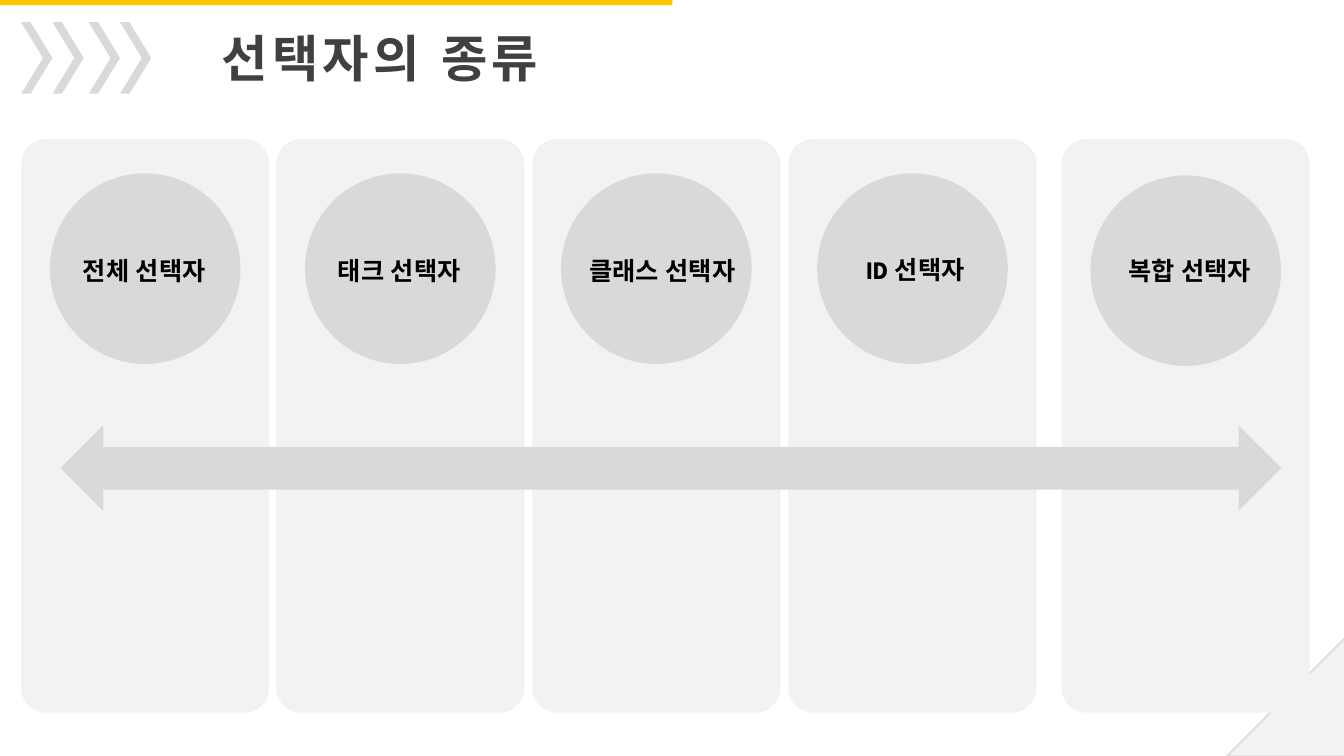
"""Build the slide that introduces the kinds of CSS selectors."""
from dataclasses import dataclass
from typing import Optional

from lxml.etree import SubElement
from pptx import Presentation
from pptx.dml.color import RGBColor
from pptx.enum.shapes import MSO_SHAPE
from pptx.enum.text import MSO_ANCHOR, MSO_AUTO_SIZE, PP_ALIGN
from pptx.oxml.ns import qn
from pptx.shapes.autoshape import Shape
from pptx.slide import Slide
from pptx.util import Inches, Pt

FONT = "League Spartan"
COLORS = {
    "accent": "FEC800",
    "panel": "F2F2F2",
    "gray": "D9D9D9",
    "title": "404040",
    "label": "000000",
}
CHEVRON_LEFTS = (0.21, 0.52, 0.88, 1.19)
PANEL_WIDTH = 2.46
CIRCLE_SIZE = 1.89


@dataclass
class Frame:
    """Place and size in inches."""
    left: float
    top: float
    width: float
    height: float


@dataclass
class Selector:
    """One column: its panel, circle and label."""
    name: str
    panel_left: float
    circle_top: float
    label: Frame


SELECTORS = (
    Selector("전체 선택자", 0.21, 1.72, Frame(0.61, 2.48, 1.64, 0.4)),
    Selector("태크 선택자", 2.74, 1.72, Frame(3.14, 2.48, 1.64, 0.4)),
    Selector("클래스 선택자", 5.28, 1.72, Frame(5.62, 2.48, 1.9, 0.4)),
    Selector("ID 선택자", 7.82, 1.72, Frame(8.13, 2.47, 1.9, 0.4)),
    Selector("복합 선택자", 10.53, 1.74, Frame(10.85, 2.48, 1.9, 0.4)),
)


def add_figure(page: Slide, kind: MSO_SHAPE, frame: Frame, color: str,
               adjustment: Optional[float] = None) -> Shape:
    """Draw a filled preset shape without outline or shadow."""
    shape = page.shapes.add_shape(
        kind, Inches(frame.left), Inches(frame.top),
        Inches(frame.width), Inches(frame.height))
    shape.shadow.inherit = False
    shape.fill.solid()
    shape.fill.fore_color.rgb = RGBColor.from_string(COLORS[color])
    shape.line.fill.background()
    if adjustment is not None:
        shape.adjustments[0] = adjustment
    return shape


def write_text(box: Shape, text: str, size: int, color: str,
               align: PP_ALIGN, wrap: bool) -> None:
    """Fill a box with one bold paragraph."""
    text_frame = box.text_frame
    text_frame.text = text
    text_frame.word_wrap = wrap
    text_frame.auto_size = MSO_AUTO_SIZE.SHAPE_TO_FIT_TEXT
    text_frame.vertical_anchor = MSO_ANCHOR.TOP
    para = text_frame.paragraphs[0]
    para.alignment = align
    span = para.runs[0]
    span.font.size = Pt(size)
    span.font.bold = True
    span.font.name = FONT
    span.font.color.rgb = RGBColor.from_string(COLORS[color])
    SubElement(span.font._element, qn("a:ea")).set("typeface", FONT)


def add_title(page: Slide, text: str) -> None:
    """Move and format the title placeholder."""
    title = page.shapes.title
    title.left, title.top = Inches(1.77), Inches(0.22)
    title.width, title.height = Inches(3.67), Inches(0.71)
    write_text(title, text, 36, "title", PP_ALIGN.RIGHT, False)
    title.text_frame.paragraphs[0].runs[0].font._element.set("spc", "300")


def add_corner(page: Slide) -> None:
    """Draw the outlined triangle in the lower right corner."""
    corner = add_figure(page, MSO_SHAPE.RIGHT_TRIANGLE,
                        Frame(12.17, 6.33, 1.17, 1.17), "panel")
    corner._element.spPr.xfrm.set("flipH", "1")
    corner.line.color.rgb = RGBColor.from_string(COLORS["gray"])
    corner.line.width = Pt(1)


def add_selector(page: Slide, selector: Selector) -> None:
    """Draw a column with its circle and label."""
    add_figure(page, MSO_SHAPE.ROUNDED_RECTANGLE,
               Frame(selector.panel_left, 1.38, PANEL_WIDTH, 5.69), "panel", 0.1)
    circle_left = selector.panel_left + (PANEL_WIDTH - CIRCLE_SIZE) / 2
    add_figure(page, MSO_SHAPE.OVAL,
               Frame(circle_left, selector.circle_top, CIRCLE_SIZE, CIRCLE_SIZE), "gray")
    frame = selector.label
    box = page.shapes.add_textbox(Inches(frame.left), Inches(frame.top),
                                  Inches(frame.width), Inches(frame.height))
    write_text(box, selector.name, 18, "label", PP_ALIGN.CENTER, True)


def main() -> None:
    """Assemble and save the deck."""
    deck = Presentation()
    deck.slide_width, deck.slide_height = Inches(13.33), Inches(7.5)
    page = deck.slides.add_slide(deck.slide_layouts[5])
    add_title(page, "선택자의 종류")
    add_corner(page)
    add_figure(page, MSO_SHAPE.RECTANGLE, Frame(0, 0, 6.67, 0.05), "accent")
    for left in CHEVRON_LEFTS:
        add_figure(page, MSO_SHAPE.CHEVRON, Frame(left, 0.22, 0.31, 0.71), "gray", 0.7)
    for selector in SELECTORS:
        add_selector(page, selector)
    add_figure(page, MSO_SHAPE.LEFT_RIGHT_ARROW, Frame(0.6, 4.22, 12.11, 0.85), "gray")
    deck.save("out.pptx")


if __name__ == "__main__":
    main()
